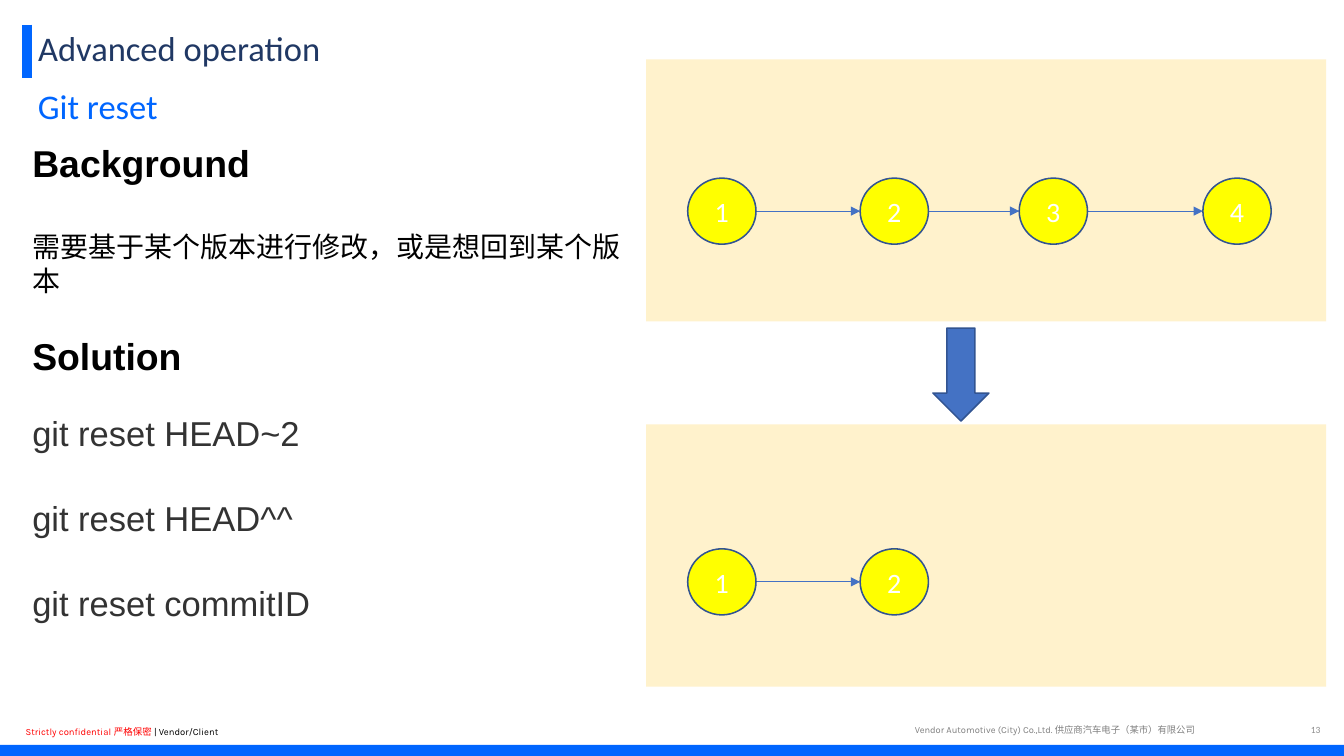
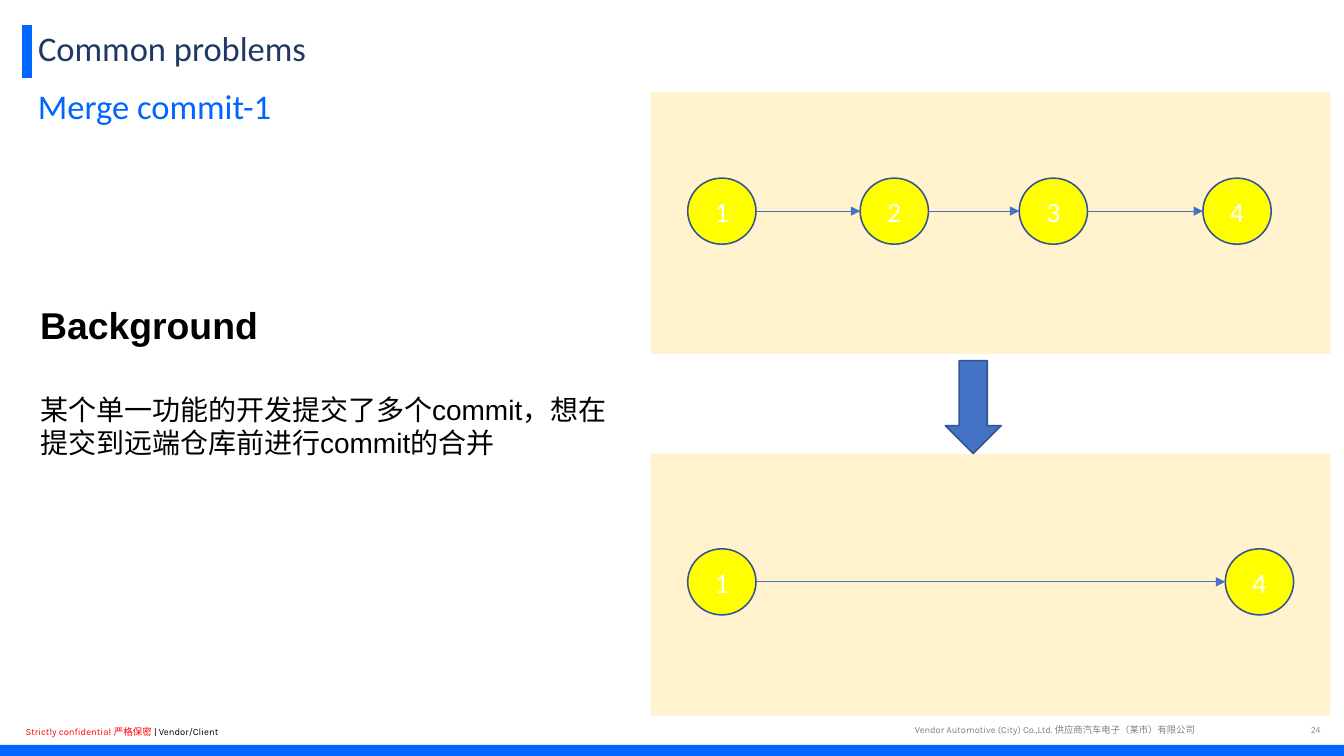
from lxml import etree
from pptx import Presentation
from pptx.dml.color import RGBColor
from pptx.enum.shapes import MSO_CONNECTOR, MSO_SHAPE
from pptx.enum.text import MSO_ANCHOR, MSO_AUTO_SIZE, PP_ALIGN
from pptx.oxml.ns import qn
from pptx.util import Inches, Pt

RECT, OVAL, DOWN = MSO_SHAPE.RECTANGLE, MSO_SHAPE.OVAL, MSO_SHAPE.DOWN_ARROW
LINE = MSO_CONNECTOR.STRAIGHT
TOP, MID = MSO_ANCHOR.TOP, MSO_ANCHOR.MIDDLE
LEFT, MIDDLE, RIGHT = PP_ALIGN.LEFT, PP_ALIGN.CENTER, PP_ALIGN.RIGHT
FIXED = MSO_AUTO_SIZE.NONE

# Palette and fonts
BLUE, NAVY, STEEL, EDGE = "0066FF", "203864", "4472C4", "325491"
CREAM, YELLOW, WHITE, BLACK = "FFF2CC", "FFFF00", "FFFFFF", "000000"
RED, GREY, PALE, DARK = "FF0000", "808080", "8C8C8C", "333333"
HEAD, BODY, FOOT = "Calibri", "Arial", "Karla"

# Grid: 12 square columns, 6.75 rows
COLS, ROWS = 12, 6.75
PANEL = (6.07, 2.34)
NODE = (0.61, 0.59)
FIRST, SECOND = 1.59, 4.9
CHAIN = [("1", 6.14), ("2", 7.68), ("3", 9.1), ("4", 10.74)]


def grid(*units):
    return [Inches(u) for u in units]


def color(code):
    return RGBColor.from_string(code)


def style(para, size, font, code, bold=False, align=LEFT):
    para.alignment = align
    for run in para.runs:
        run.font.size, run.font.name, run.font.bold = Pt(size), font, bold
        run.font.color.rgb = color(code)


def frame(shape, anchor=TOP):
    text = shape.text_frame
    text.word_wrap, text.auto_size = True, FIXED
    text.vertical_anchor = anchor
    return text


def label(slide, box, words, size, font, code, align=LEFT, anchor=TOP):
    text = frame(slide.shapes.add_textbox(*grid(*box)), anchor)
    text.text = words
    style(text.paragraphs[0], size, font, code, align=align)
    return text.paragraphs[0]


def block(slide, kind, box, fill, edge=None):
    shape = slide.shapes.add_shape(kind, *grid(*box))
    shape.shadow.inherit = False
    shape.fill.solid()
    shape.fill.fore_color.rgb = color(fill)
    if edge:
        shape.line.color.rgb = color(edge)
        shape.line.width = Pt(1)
    else:
        shape.line.fill.background()
    return shape


def line(slide, ends, code, width, arrow=False):
    link = slide.shapes.add_connector(LINE, *grid(*ends))
    link.line.color.rgb = color(code)
    link.line.width = Pt(width)
    if arrow:
        etree.SubElement(link.line._get_or_add_ln(), qn("a:tailEnd"), type="triangle")
    etree.SubElement(link._element.spPr, qn("a:effectLst"))


def chain(slide, nodes, top):
    """Row of commits, each joined to the next by an arrow."""
    wide, high = NODE
    mid = top + high / 2
    for (_, left), (_, after) in zip(nodes, nodes[1:]):
        line(slide, (left + wide, mid, after, mid), STEEL, 0.5, arrow=True)
    for name, left in nodes:
        text = frame(block(slide, OVAL, (left, top, wide, high), YELLOW, EDGE), MID)
        text.text = name
        style(text.paragraphs[0], 18, HEAD, WHITE, align=MIDDLE)


def panels(slide, left, tops, arrow):
    """Before and after panels with the arrow between them."""
    for top in tops:
        block(slide, RECT, (left, top, *PANEL), CREAM)
    block(slide, DOWN, (*arrow, 0.5, 0.83), STEEL, EDGE)


def notes(slide, box, rows):
    """Text column; a row is words, size, colour, bold, space before."""
    text = frame(slide.shapes.add_textbox(*grid(*box)))
    for i, (words, size, code, bold, gap) in enumerate(rows):
        para = text.add_paragraph() if i else text.paragraphs[0]
        para.text = words
        para.space_before = Pt(gap)
        style(para, size, BODY, code, bold)


def page(deck, title, topic, number):
    """Slide with the shared title, band and footers."""
    slide = deck.slides.add_slide(deck.slide_layouts[5])
    block(slide, RECT, (0, ROWS - 0.1, COLS, 0.1), BLUE)
    line(slide, (0.24, 0.22, 0.24, 0.7), BLUE, 6)

    # Title and topic
    head = slide.shapes.title
    head.left, head.top, head.width, head.height = grid(0.24, 0.21, 9.6, 0.48)
    text = frame(head, MID)
    text.text = title
    text.paragraphs[0].line_spacing = 0.9
    style(text.paragraphs[0], 22.2, HEAD, NAVY)
    label(slide, (0.24, 0.7, 11.52, 0.48), topic, 22.2, HEAD, BLUE, anchor=MID)

    # Footers
    para = label(slide, (0.13, 6.43, 2.64, 0.2), "Strictly confidential 严格保密 ",
                 6.1, FOOT, RED)
    owner = para.add_run()
    owner.text = "| Vendor/Client"
    owner.font.size, owner.font.name = Pt(6.1), FOOT
    owner.font.color.rgb = color(BLACK)
    label(slide, (8.07, 6.42, 3.7, 0.2),
          "Vendor Automotive (City) Co.,Ltd. 供应商汽车电子（某市）有限公司", 6, FOOT, GREY)
    label(slide, (11.33, 6.45, 0.56, 0.14), number, 6.1, HEAD, PALE, RIGHT, MID)
    return slide


def reset(deck):
    slide = page(deck, "Advanced operation", "Git reset", "13")
    notes(slide, (0.19, 1.2, 5.63, 4.35), [
        ("Background", 24, BLACK, True, 0),
        ("需要基于某个版本进行修改，或是想回到某个版本", 18, BLACK, False, 29),
        ("Solution", 24, BLACK, True, 23),
        ("git reset HEAD~2", 22.2, DARK, False, 22),
        ("git reset HEAD^^", 22.2, DARK, False, 28),
        ("git reset commitID", 22.2, DARK, False, 28),
    ])
    panels(slide, 5.77, (0.53, 3.79), (8.33, 2.93))
    chain(slide, CHAIN, FIRST)
    chain(slide, CHAIN[:2], SECOND)


def merge(deck):
    slide = page(deck, "Common problems", "Merge commit-1", "24")
    notes(slide, (0.26, 2.65, 5.29, 1.51), [
        ("Background", 24, BLACK, True, 0),
        ("某个单一功能的开发提交了多个commit，想在提交到远端仓库前进行commit的合并",
         18, BLACK, False, 29),
    ])
    panels(slide, 5.81, (0.82, 4.05), (8.44, 3.22))
    chain(slide, CHAIN, FIRST)
    chain(slide, [CHAIN[0], ("4", 10.94)], SECOND)


def main():
    deck = Presentation()
    deck.slide_width, deck.slide_height = grid(COLS, ROWS)
    reset(deck)
    merge(deck)
    deck.save("out.pptx")


if __name__ == "__main__":
    main()
